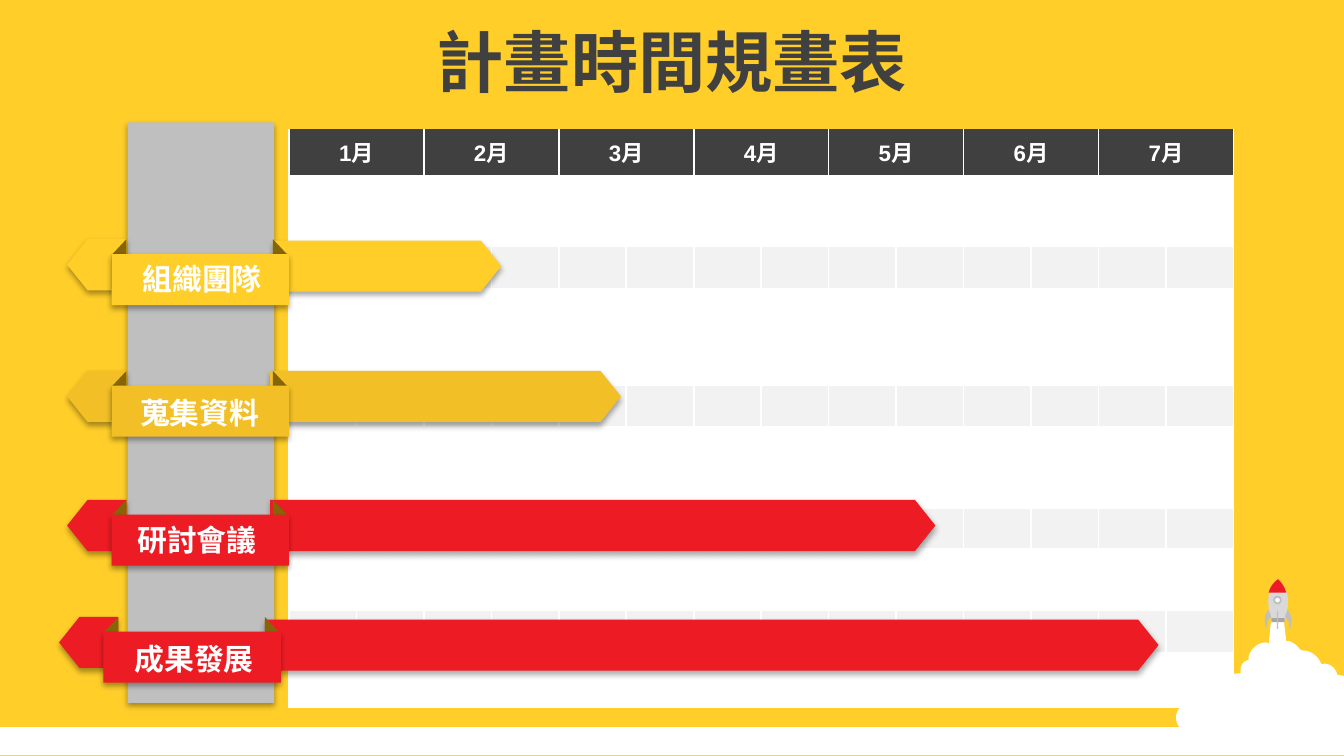
from lxml.etree import SubElement
from pptx import Presentation
from pptx.dml.color import RGBColor
from pptx.enum.shapes import MSO_SHAPE
from pptx.enum.text import MSO_ANCHOR, PP_ALIGN
from pptx.oxml import parse_xml
from pptx.oxml.ns import nsdecls, qn
from pptx.util import Inches, Pt

YELLOW = RGBColor(0xFF, 0xCE, 0x29)
AMBER = RGBColor(0xF2, 0xBF, 0x27)
RED = RGBColor(0xED, 0x1C, 0x24)
BROWN = RGBColor(0x85, 0x65, 0x08)
WHITE = RGBColor(0xFF, 0xFF, 0xFF)
PALE = RGBColor(0xF2, 0xF2, 0xF2)
LIGHT = RGBColor(0xD9, 0xD9, 0xD9)
SILVER = RGBColor(0xBF, 0xBF, 0xBF)
GRAY = RGBColor(0xA6, 0xA6, 0xA6)
DARK = RGBColor(0x40, 0x40, 0x40)
CJK_FONT = "Noto Sans CJK TC"

MONTHS = [f"{month}月" for month in range(1, 8)]
ROW_HEIGHTS = [0.34, 0.54, 0.3, 0.73, 0.3, 0.62, 0.29, 0.47, 0.3, 0.42]
MERGED_ROWS = (5, 9)
# task, colour, bar (left, top, width), banner (left, top), label offset
TASKS = [
    ("組織團隊", YELLOW, (2.03, 1.79, 1.7), (0.5, 1.78), (0.46, 0.11)),
    ("蒐集資料", AMBER, (2.01, 2.76, 2.61), (0.5, 2.76), (0.44, 0.13)),
    ("研討會議", RED, (2.01, 3.72, 4.95), (0.5, 3.72), (0.42, 0.11)),
    ("成果發展", RED, (1.97, 4.61, 6.65), (0.44, 4.59), (0.46, 0.13)),
]

# Outlines: pairs are corners, sixes are Bezier segments (two controls, end)
SMOKE = [
    (0.71, 0.28), (0.8, 0.28), (0.82, 0.46), (0.84, 0.46),
    (0.87, 0.47, 0.9, 0.49, 0.92, 0.52), (0.94, 0.53),
    (1, 0.53, 1.06, 0.57, 1.08, 0.63), (1.09, 0.63),
    (1.14, 0.62, 1.19, 0.66, 1.2, 0.71), (1.25, 0.72), (1.25, 1.29), (1.23, 1.29),
    (1.19, 1.29, 1.15, 1.28, 1.12, 1.26), (1.08, 1.28, 1, 1.29, 0.96, 1.24),
    (0.94, 1.23), (0.9, 1.28, 0.82, 1.29, 0.76, 1.24),
    (0.65, 1.32, 0.48, 1.33, 0.38, 1.2), (0.33, 1.24, 0.2, 1.22, 0.18, 1.14),
    (0.18, 1.12), (0.16, 1.14, 0.14, 1.14, 0.11, 1.14),
    (0.05, 1.14, 0, 1.09, 0, 1.03), (0, 0.97, 0.05, 0.92, 0.11, 0.92),
    (0.14, 0.93), (0.14, 0.91), (0.14, 0.82, 0.21, 0.75, 0.31, 0.75),
    (0.35, 0.75), (0.39, 0.71, 0.43, 0.7, 0.48, 0.7), (0.48, 0.68),
    (0.48, 0.64, 0.5, 0.61, 0.54, 0.6), (0.54, 0.58),
    (0.55, 0.52, 0.61, 0.47, 0.67, 0.47), (0.69, 0.48),
]
BODY = [(0.71, 0.31), (0.69, 0.22, 0.65, 0.09, 0.76, 0),
        (0.87, 0.1, 0.83, 0.23, 0.81, 0.31)]
NOSE = [(0.76, 0), (0.79, 0.03, 0.81, 0.06, 0.82, 0.1), (0.69, 0.1),
        (0.7, 0.06, 0.72, 0.03, 0.76, 0)]
LEFT_FIN = [(0.69, 0.23), (0.71, 0.28), (0.67, 0.3, 0.68, 0.35, 0.67, 0.37),
            (0.66, 0.34, 0.65, 0.26, 0.69, 0.23)]
RIGHT_FIN = [tuple(round(1.52 - v, 2) if i % 2 == 0 else v for i, v in enumerate(step))
             for step in LEFT_FIN]


def paint(shape, color, shadow=False):
    shape.fill.solid()
    shape.fill.fore_color.rgb = color
    shape.line.fill.background()
    shape.shadow.inherit = False
    if shadow:
        effects = shape._element.spPr.find(qn("a:effectLst"))
        effects.append(parse_xml(
            f'<a:outerShdw {nsdecls("a")} blurRad="{Pt(3.1)}" dist="{Pt(1.8)}" '
            'dir="5400000" algn="t" rotWithShape="0"><a:srgbClr val="000000">'
            '<a:alpha val="35000"/></a:srgbClr></a:outerShdw>'))
    return shape


def add_block(shapes, kind, box, color, shadow=False, adjust=None, turn=0, flip=False):
    shape = paint(shapes.add_shape(kind, *map(Inches, box)), color, shadow)
    if adjust is not None:
        shape.adjustments[0] = adjust
    shape.rotation = turn
    if flip:
        shape._element.spPr.get_or_add_xfrm().set("flipH", "1")
    return shape


def add_outline(shapes, left, top, steps, color, samples=8):
    points = []
    for *controls, x, y in steps:
        if controls:
            (x0, y0), (x1, y1, x2, y2) = points[-1], controls
            for n in range(1, samples):
                t = n / samples
                a, b, c, d = (1 - t)**3, 3 * t * (1 - t)**2, 3 * t * t * (1 - t), t**3
                points.append((a * x0 + b * x1 + c * x2 + d * x,
                               a * y0 + b * y1 + c * y2 + d * y))
        points.append((x, y))
    start, *rest = [(Inches(left + x), Inches(top + y)) for x, y in points]
    builder = shapes.build_freeform(*start)
    builder.add_line_segments(rest, close=True)
    paint(builder.convert_to_shape(), color)


def write(frame, text, size, font, color):
    paragraph = frame.paragraphs[0]
    paragraph.alignment = PP_ALIGN.CENTER
    run = paragraph.add_run()
    run.text = text
    for name, value in {"size": Pt(size), "bold": True, "name": font}.items():
        setattr(run.font, name, value)
    run.font.color.rgb = color
    SubElement(run._r.get_or_add_rPr(), qn("a:ea")).set("typeface", CJK_FONT)


def add_title(slide, left, top, width, height):
    frame = slide.shapes.add_textbox(*map(Inches, (left, top, width, height))).text_frame
    frame.word_wrap = True
    frame.vertical_anchor = MSO_ANCHOR.MIDDLE
    write(frame, "計畫時間規畫表", 36, CJK_FONT, DARK)


def add_rocket(slide, left, top):
    shapes = slide.shapes.add_group_shape().shapes
    for steps, color in ((SMOKE, WHITE), (BODY, LIGHT)):
        add_outline(shapes, left, top, steps, color)
    add_block(shapes, MSO_SHAPE.RECTANGLE, (left + 0.71, top + 0.29, 0.1, 0.03), GRAY)
    add_outline(shapes, left, top, NOSE, RED)
    window = add_block(shapes, MSO_SHAPE.OVAL, (left + 0.73, top + 0.13, 0.05, 0.05), WHITE)
    window.line.color.rgb = SILVER
    window.line.width = Pt(1)
    add_block(shapes, MSO_SHAPE.RECTANGLE, (left + 0.75, top + 0.24, 0.01, 0.13), SILVER)
    for fin in (LEFT_FIN, RIGHT_FIN):
        add_outline(shapes, left, top, fin, SILVER)


def style_cell(cell, color):
    cell.fill.solid()
    cell.fill.fore_color.rgb = color
    borders = (("lnL", WHITE), ("lnR", WHITE), ("lnT", None), ("lnB", None))
    for place, (side, line) in enumerate(borders):
        ink = f'<a:solidFill><a:srgbClr val="{line}"/></a:solidFill>' if line else "<a:noFill/>"
        cell._tc.get_or_add_tcPr().insert(place, parse_xml(
            f'<a:{side} {nsdecls("a")} w="{Pt(1)}">{ink}</a:{side}>'))


def add_calendar(slide, left, top, width, height):
    columns = 2 * len(MONTHS)
    table = slide.shapes.add_table(
        len(ROW_HEIGHTS), columns, *map(Inches, (left, top, width, height))).table
    table.first_row = table.horz_banding = False
    for column in table.columns:
        column.width = Inches(width / columns)
    for r, row_height in enumerate(ROW_HEIGHTS):
        table.rows[r].height = Inches(row_height)
        for cell in table.rows[r].cells:
            style_cell(cell, DARK if r == 0 else WHITE if r % 2 else PALE)
            if r:  # keeps empty rows from growing
                end = SubElement(cell.text_frame.paragraphs[0]._p, qn("a:endParaRPr"))
                end.set("sz", "800")
    for row in MERGED_ROWS:
        table.cell(row, 0).merge(table.cell(row, columns - 1))
    for m, month in enumerate(MONTHS):
        header = table.cell(0, 2 * m)
        header.merge(table.cell(0, 2 * m + 1))
        header.vertical_anchor = MSO_ANCHOR.MIDDLE
        write(header.text_frame, month, 12, "Arial", WHITE)


def add_banner(slide, left, top, name, color, label_offset):
    shapes = slide.shapes.add_group_shape().shapes
    add_block(shapes, MSO_SHAPE.PENTAGON, (left, top, 0.44, 0.38), color, True, 0.4, flip=True)
    for dx, turn in ((0.2, 270), (1.4, 90)):  # folded corners
        add_block(shapes, MSO_SHAPE.PARALLELOGRAM, (left + dx, top + 0.13, 0.37, 0.11),
                  BROWN, adjust=1.07, turn=turn, flip=turn == 270)
    add_block(shapes, MSO_SHAPE.RECTANGLE, (left + 0.33, top + 0.11, 1.32, 0.38), color, True)
    dx, dy = label_offset
    label = shapes.add_textbox(*map(Inches, (left + dx, top + dy, 1.09, 0.37)))
    label.text_frame.word_wrap = False
    write(label.text_frame, name, 16, "League Spartan", WHITE)


def main():
    deck = Presentation()
    deck.slide_width = Inches(10)
    deck.slide_height = deck.slide_width * 9 // 16
    slide = deck.slides.add_slide(deck.slide_layouts[6])
    slide.background.fill.solid()
    slide.background.fill.fore_color.rgb = YELLOW

    # Ground strip, rocket and title
    add_block(slide.shapes, MSO_SHAPE.RECTANGLE, (0, 5.41, 10, 0.21), WHITE)
    add_rocket(slide, 8.75, 4.31)
    add_title(slide, 0, 0.14, 10, 0.63)

    # Task column and month grid
    add_block(slide.shapes, MSO_SHAPE.RECTANGLE, (0.95, 0.91, 1.09, 4.32), SILVER, True)
    add_calendar(slide, 2.15, 0.96, 7.03, sum(ROW_HEIGHTS))

    # Task bars with their banners
    for name, color, bar, banner, label_offset in TASKS:
        add_block(slide.shapes, MSO_SHAPE.PENTAGON, (*bar, 0.38), color, True, 0.4)
        add_banner(slide, *banner, name, color, label_offset)
    deck.save("out.pptx")


if __name__ == "__main__":
    main()
